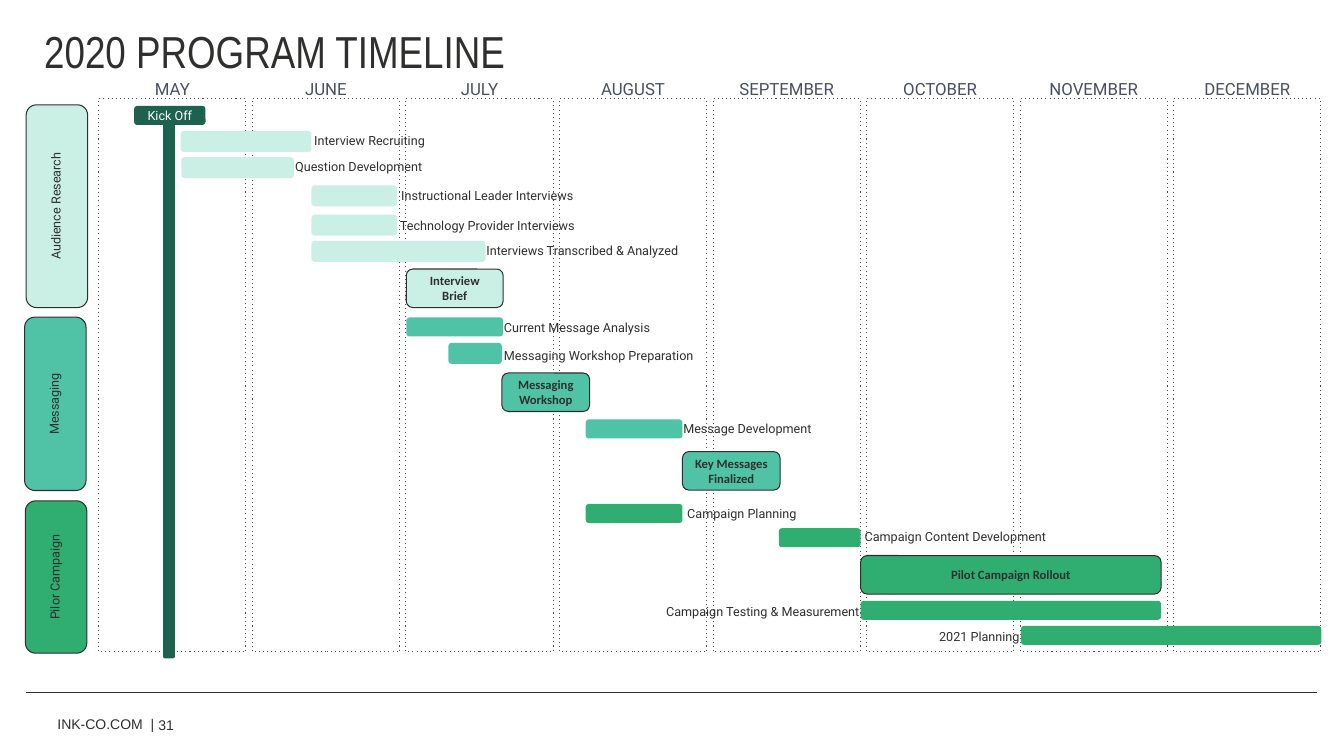
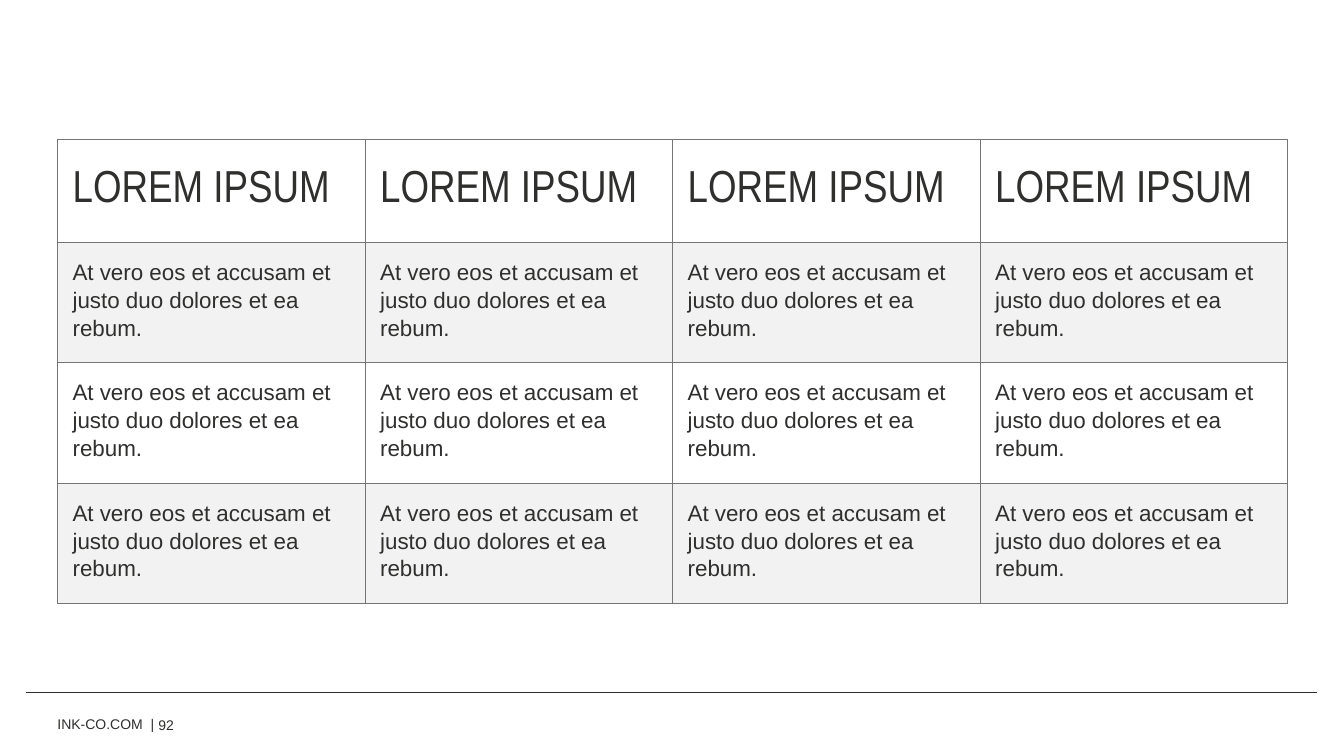
"""Build a programme timeline slide and a table slide with a shared footer."""
from dataclasses import dataclass
from typing import Any

from lxml import etree
from pptx import Presentation
from pptx import util as u
from pptx.dml import color
from pptx.enum import shapes, text
from pptx.oxml import ns

COLOURS = {
    "ink": "2F2F2E", "slate": "495061", "white": "FFFFFF", "band": "F2F2F2",
    "border": "757575", "kickoff": "1D624E", "research": "CAF0E5",
    "messaging": "50C3A6", "campaign": "30AD71",
}
FONTS: dict[str, dict[str, Any]] = {
    "title": {"name": "Arial Narrow", "size": u.Pt(32), "bold": False},
    "month": {"name": "Roboto", "size": u.Pt(12)},
    "label": {"name": "Roboto", "size": u.Pt(9)},
    "milestone": {"name": "Calibri", "size": u.Pt(9), "bold": True},
    "footer": {"name": "Arial", "size": u.Pt(10)},
    "cell": {"name": "Arial", "size": u.Pt(16)},
}
LEFT, CENTER, RIGHT = text.PP_ALIGN.LEFT, text.PP_ALIGN.CENTER, text.PP_ALIGN.RIGHT
MIDDLE = text.MSO_ANCHOR.MIDDLE
SIDES = ("left", "right", "top", "bottom")


@dataclass(frozen=True)
class Box:
    left: float
    top: float
    width: float
    height: float

    def lengths(self) -> tuple[u.Length, ...]:
        return tuple(u.Cm(n) for n in (self.left, self.top, self.width, self.height))


@dataclass(frozen=True)
class Task:
    name: str
    phase: str
    bar: Box
    label_left: float
    label_shift: float = 0
    align: text.PP_ALIGN = LEFT


@dataclass(frozen=True)
class Block:
    name: str
    phase: str
    box: Box


MONTHS = ("MAY", "JUNE", "JULY", "AUGUST", "SEPTEMBER", "OCTOBER", "NOVEMBER", "DECEMBER")
MONTH_LEFT, MONTH_PITCH, MONTH_WIDTH = 2.49, 3.87, 3.71
LABEL_WIDTH, LABEL_HEIGHT = 6.1, 0.48
PHASES = (
    Block("Audience Research", "research", Box(0.66, 2.64, 1.55, 5.11)),
    Block("Messaging", "messaging", Box(0.62, 7.99, 1.55, 4.37)),
    Block("Pilor Campaign", "campaign", Box(0.64, 12.62, 1.55, 3.84)),
)
TASKS = (
    Task("Interview Recruiting", "research", Box(4.55, 3.3, 3.3, 0.53), 7.67, -0.03),
    Task("Question Development", "research", Box(4.57, 3.96, 2.84, 0.53), 7.19, -0.03),
    Task("Instructional Leader Interviews", "research", Box(7.85, 4.67, 2.16, 0.53), 9.86),
    Task("Technology Provider Interviews", "research", Box(7.85, 5.41, 2.16, 0.53), 9.83),
    Task("Interviews Transcribed & Analyzed", "research", Box(7.85, 6.07, 4.39, 0.53), 12.01, -0.03),
    Task("Current Message Analysis", "messaging", Box(10.24, 8, 2.44, 0.48), 12.45),
    Task("Messaging Workshop Preparation", "messaging", Box(11.3, 8.64, 1.35, 0.53), 12.45, 0.05),
    Task("Message Development", "messaging", Box(14.76, 10.57, 2.44, 0.48), 16.97),
    Task("Campaign Planning", "campaign", Box(14.76, 12.7, 2.44, 0.48), 17.07),
    Task("Campaign Content Development", "campaign", Box(19.63, 13.31, 2.06, 0.48), 21.54, -0.03),
    Task("Campaign Testing & Measurement", "campaign", Box(21.69, 15.14, 7.57, 0.48), 15.8, 0.03, RIGHT),
    Task("2021 Planning", "campaign", Box(25.73, 15.77, 7.57, 0.48), 19.84, 0.03, RIGHT),
)
MILESTONES = (
    Block("Interview Brief", "research", Box(10.24, 6.78, 2.44, 0.97)),
    Block("Messaging Workshop", "messaging", Box(12.65, 9.4, 2.21, 0.97)),
    Block("Key Messages Finalized", "messaging", Box(17.2, 11.38, 2.46, 0.97)),
    Block("Pilot Campaign Rollout", "campaign", Box(21.69, 14, 7.57, 0.97)),
)
HEADING = "LOREM IPSUM"
PASSAGE = "At vero eos et accusam et justo duo dolores et ea rebum."
COLUMNS, COLUMN_WIDTH = 4, 7.75
ROW_HEIGHTS = (2.59, 2.72, 2.72, 2.72)


def rgb(name: str) -> color.RGBColor:
    return color.RGBColor.from_string(COLOURS[name])


def write(frame: Any, words: str, style: str, ink: str = "ink", align: text.PP_ALIGN = LEFT,
          spacing: Any = None) -> None:
    frame.word_wrap = True
    paragraph = frame.paragraphs[0]
    paragraph.alignment = align
    paragraph.line_spacing = spacing
    run = paragraph.add_run()
    run.text = words
    for key, value in FONTS[style].items():
        setattr(run.font, key, value)
    run.font.color.rgb = rgb(ink)


def set_margins(target: Any, margin: float, sides: tuple[str, ...] = SIDES) -> None:
    for side in sides:
        setattr(target, f"margin_{side}", u.Cm(margin))


def add_text(slide: Any, box: Box, words: str, style: str, ink: str = "ink",
             align: text.PP_ALIGN = LEFT) -> Any:
    frame = slide.shapes.add_textbox(*box.lengths()).text_frame
    frame.vertical_anchor = MIDDLE
    write(frame, words, style, ink, align)
    return frame


def add_panel(slide: Any, box: Box, fill: str | None, outline: str | None = None) -> Any:
    kind = shapes.MSO_SHAPE.ROUNDED_RECTANGLE if fill else shapes.MSO_SHAPE.RECTANGLE
    panel = slide.shapes.add_shape(kind, *box.lengths())
    panel.shadow.inherit = False
    if fill:
        panel.fill.solid()
        panel.fill.fore_color.rgb = rgb(fill)
    else:
        panel.fill.background()
    if outline:
        panel.line.color.rgb = rgb(outline)
        panel.line.width = u.Pt(0.75)
    else:
        panel.line.fill.background()
    return panel


def add_footer(slide: Any, number: str) -> None:
    rule = slide.shapes.add_connector(
        shapes.MSO_CONNECTOR.STRAIGHT, u.Cm(0.66), u.Cm(17.45), u.Cm(33.2), u.Cm(17.45))
    rule.line.color.rgb = rgb("ink")
    rule.line.width = u.Pt(1)
    etree.SubElement(rule._element.spPr, ns.qn("a:effectLst"))
    set_margins(add_text(slide, Box(3.99, 17.88, 3, 0.76), number, "footer"), 0)
    site = add_text(slide, Box(1.45, 17.73, 2.64, 1.02), "INK-CO.COM", "footer")
    set_margins(site, 0)
    for part in (" ", "|"):
        write(site, part, "footer")
    site.paragraphs[0].runs[1].font._element.set("spc", "280")


def add_month(slide: Any, index: int, month: str) -> None:
    left = MONTH_LEFT + index * MONTH_PITCH
    column = add_panel(slide, Box(left, 2.49, MONTH_WIDTH, 13.94), None, "slate")
    dash = etree.SubElement(column._element.spPr.find(ns.qn("a:ln")), ns.qn("a:prstDash"))
    dash.set("val", "dot")
    add_text(slide, Box(left, 1.85, MONTH_WIDTH, 0.76), month, "month", "slate", CENTER)


def add_phase(slide: Any, phase: Block) -> None:
    box = phase.box
    turn = (box.height - box.width) / 2
    turned = Box(box.left - turn, box.top + turn, box.height, box.width)
    tab = add_panel(slide, turned, phase.phase, "ink")
    tab.rotation = 270
    write(tab.text_frame, phase.name, "label", align=CENTER, spacing=u.Pt(8.8))


def add_task(slide: Any, task: Task) -> None:
    bar = task.bar
    add_panel(slide, bar, task.phase)
    top = bar.top + (bar.height - LABEL_HEIGHT) / 2 + task.label_shift
    add_text(slide, Box(task.label_left, top, LABEL_WIDTH, LABEL_HEIGHT), task.name, "label",
             align=task.align)


def add_milestone(slide: Any, milestone: Block) -> None:
    panel = add_panel(slide, milestone.box, milestone.phase, "ink")
    set_margins(panel.text_frame, 0.23, ("left", "right"))
    write(panel.text_frame, milestone.name, "milestone", align=CENTER)


def build_timeline(deck: Any) -> None:
    slide = deck.slides.add_slide(deck.slide_layouts[5])
    add_footer(slide, "31")
    title = slide.shapes.title
    title.left, title.top, title.width, title.height = Box(0.86, 0.28, 32.13, 2.13).lengths()
    title.text_frame.auto_size = text.MSO_AUTO_SIZE.NONE
    title.text_frame.vertical_anchor = MIDDLE
    write(title.text_frame, "2020 PROGRAM TIMELINE", "title", spacing=u.Pt(34.4))
    add_panel(slide, Box(4.11, 2.9, 0.3, 13.69), "kickoff")
    for index, month in enumerate(MONTHS):
        add_month(slide, index, month)
    kickoff = add_panel(slide, Box(3.38, 2.67, 1.8, 0.48), "kickoff")
    write(kickoff.text_frame, "Kick Off", "label", "white", CENTER)
    for phase in PHASES:
        add_phase(slide, phase)
    for task in TASKS:
        add_task(slide, task)
    for milestone in MILESTONES:
        add_milestone(slide, milestone)


def add_borders(cell: Any) -> None:
    properties = cell._tc.get_or_add_tcPr()
    for index, side in enumerate("LRTB"):
        border = etree.Element(ns.qn(f"a:ln{side}"), w=str(u.Pt(0.5)))
        fill = etree.SubElement(border, ns.qn("a:solidFill"))
        etree.SubElement(fill, ns.qn("a:srgbClr"), val=COLOURS["border"])
        properties.insert(index, border)


def build_table(deck: Any) -> None:
    slide = deck.slides.add_slide(deck.slide_layouts[6])
    add_footer(slide, "92")
    area = Box(1.45, 3.51, COLUMNS * COLUMN_WIDTH, sum(ROW_HEIGHTS))
    table = slide.shapes.add_table(len(ROW_HEIGHTS), COLUMNS, *area.lengths()).table
    table.first_row = table.horz_banding = False
    for column in table.columns:
        column.width = u.Cm(COLUMN_WIDTH)
    for index, height in enumerate(ROW_HEIGHTS):
        table.rows[index].height = u.Cm(height)
        for cell in table.rows[index].cells:
            set_margins(cell, 0.38)
            cell.fill.solid()
            cell.fill.fore_color.rgb = rgb("band" if index % 2 else "white")
            add_borders(cell)
            if index:
                write(cell.text_frame, PASSAGE, "cell", spacing=1.12)
            else:
                cell.vertical_anchor = MIDDLE
                write(cell.text_frame, HEADING, "title")


def main() -> None:
    deck = Presentation()
    deck.slide_width, deck.slide_height = u.Cm(33.87), u.Cm(19.05)
    build_timeline(deck)
    build_table(deck)
    deck.save("out.pptx")


if __name__ == "__main__":
    main()
